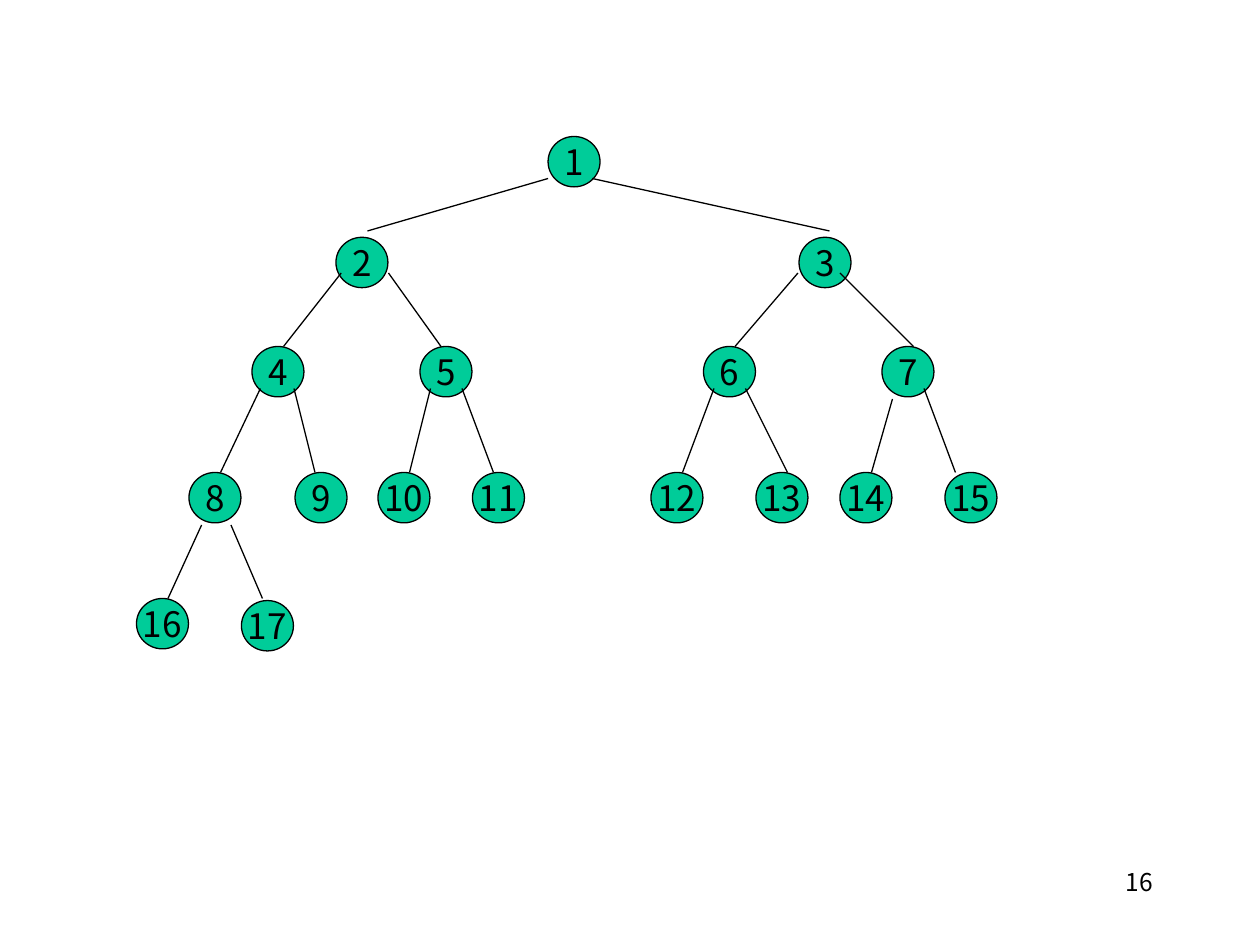
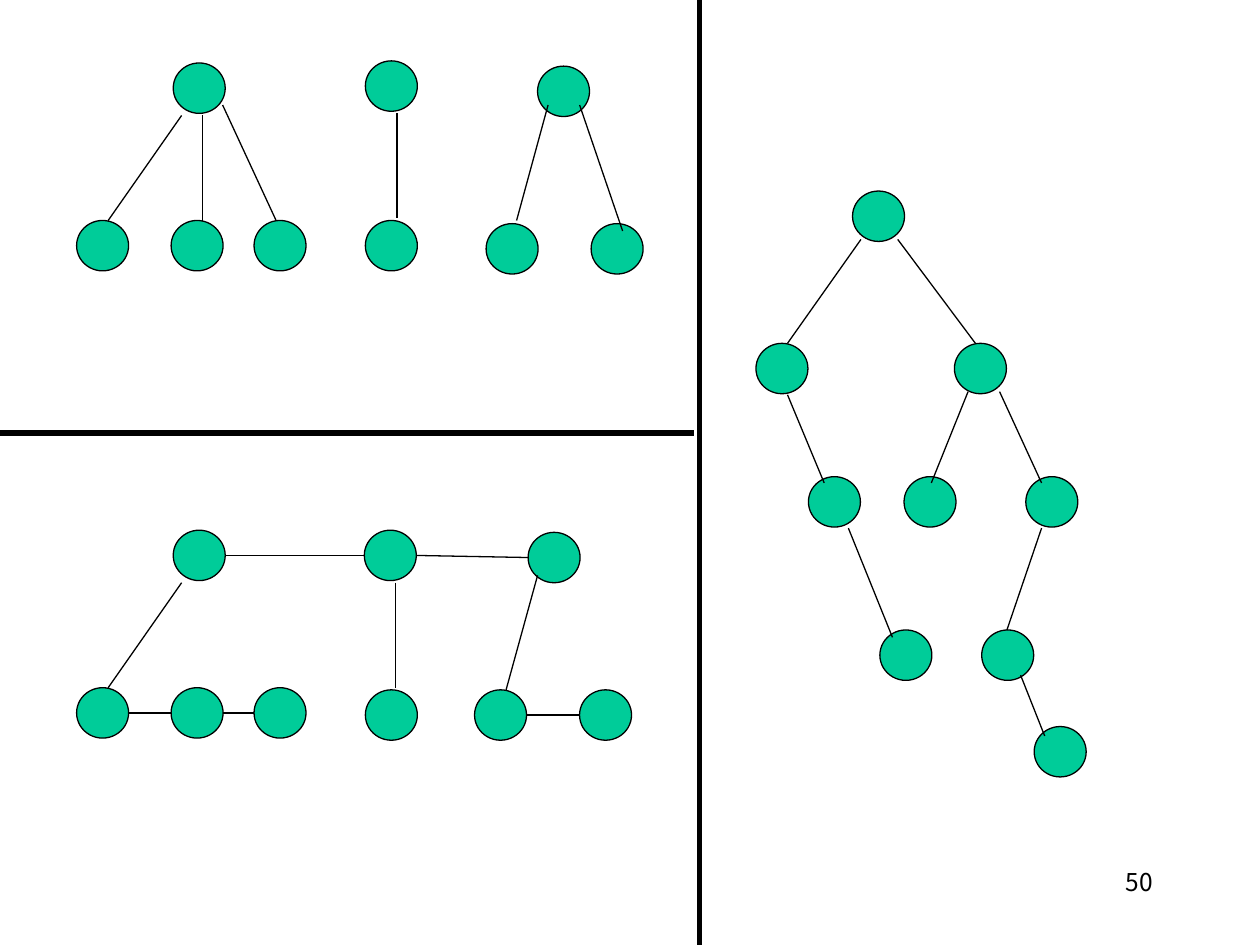
from lxml import etree
from pptx import Presentation
from pptx.dml.color import RGBColor
from pptx.enum import shapes, text
from pptx.util import Inches, Pt

COLS, ROWS = 120, 90
NODE_W, NODE_H = 4.95, 4.8
FONT = "Noto Sans CJK JP"
INK, GREEN = "000000", "00CC99"

prs = Presentation()
prs.slide_width, prs.slide_height = Inches(10), Inches(7.5)


def rgb(value):
    return RGBColor.from_string(value)


def x(col):
    return round(prs.slide_width * col / COLS)


def y(row):
    return round(prs.slide_height * row / ROWS)


def write(sp, words, size, align, **frame):
    """Put one paragraph in a shape, with text frame settings from frame."""
    tf = sp.text_frame
    for name, value in frame.items():
        setattr(tf, name, value)
    p = tf.paragraphs[0]
    p.alignment = align
    r = p.add_run()
    r.text = words
    for name, value in {"name": FONT, "size": Pt(size)}.items():
        setattr(r.font, name, value)
    r.font.color.rgb = rgb(INK)
    return p


def line(s, c1, r1, c2, r2, width=0.75):
    cx = s.shapes.add_connector(shapes.MSO_CONNECTOR.STRAIGHT, x(c1), y(r1), x(c2), y(r2))
    cx.line.color.rgb = rgb(INK)
    cx.line.width = Pt(width)
    sp_pr = cx._element.spPr
    ns = sp_pr.nsmap["a"]
    etree.SubElement(sp_pr, f"{{{ns}}}effectLst")


def node(s, col, row, label=""):
    sp = s.shapes.add_shape(shapes.MSO_SHAPE.OVAL, x(col), y(row), x(NODE_W), y(NODE_H))
    sp.shadow.inherit = False
    sp.fill.solid()
    sp.fill.fore_color.rgb = rgb(GREEN)
    sp.line.color.rgb = rgb(INK)
    sp.line.width = Pt(0.75)
    if label:
        write(sp, label, 20, text.PP_ALIGN.CENTER, word_wrap=False,
              vertical_anchor=text.MSO_ANCHOR.MIDDLE)


def tree(s, box, levels, edges, siblings=(), numbered=False):
    """Draw nodes {row: cols}, edges {(row, row): (col, col) pairs} and sibling links."""
    left, top = box
    places = [(left + col, top + row) for row, cols in levels.items() for col in cols]
    for number, (col, row) in enumerate(places, 1):
        node(s, col, row, str(number) if numbered else "")
    for (r1, r2), pairs in edges.items():
        for c1, c2 in pairs:
            line(s, left + c1, top + r1, left + c2, top + r2)
    for a, b in siblings:
        (c1, r1), (c2, r2) = places[a], places[b]
        line(s, c1 + NODE_W, r1 + NODE_H / 2, c2, r2 + NODE_H / 2)


def page(number):
    s = prs.slides.add_slide(prs.slide_layouts[6])
    tb = s.shapes.add_textbox(x(86), y(82), x(25), y(6))
    p = write(tb, str(number), 14, text.PP_ALIGN.RIGHT, word_wrap=True)
    p.space_before = Pt(8.8)
    return s


def numbered_tree_slide():
    s = page(16)
    levels = {
        0: [39.2],
        9.6: [19, 63.1],
        20: [11, 27, 54, 71],
        32: [5, 15.1, 23, 32, 49, 59, 67, 77],
        44: [0],
        44.2: [10],
    }
    edges = {
        (4, 9): [(39.2, 22), (43.4, 66)],
        (13, 20): [(19.5, 14), (24, 29), (63, 57), (67, 74)],
        (24, 32): [(11.8, 8), (15, 17), (28, 26), (31, 34), (55, 52), (58, 62), (75, 78)],
        (25, 32): [(72, 70)],
        (37, 44): [(6.2, 3), (9, 12)],
    }
    tree(s, (13, 13), levels, edges, numbered=True)


def forest(s, box):
    levels = {0: [27.5], 0.2: [9.2], 0.5: [43.9],
              15.2: [0, 9, 16.9, 27.5], 15.5: [39, 49]}
    edges = {
        (5.2, 15.2): [(10, 3), (12, 12)],
        (4.2, 15.2): [(13.9, 19), (44.9, 41.9)],
        (5, 15): [(30.5, 30.5)],
        (4.2, 16.2): [(47.9, 52)],
    }
    tree(s, box, levels, edges)


def sibling_lists(s, box):
    levels = {0: [9.2, 27.4], 0.2: [43],
              15: [0, 9, 16.9], 15.2: [27.5, 37.9, 47.9]}
    edges = {(5, 15): [(10, 3), (30.4, 30.4)], (4.3, 15.2): [(43.9, 40.9)]}
    tree(s, box, levels, edges, siblings=[(0, 1), (1, 2), (3, 4), (4, 5), (7, 8)])


def binary_tree(s, box):
    levels = {0: [9.2], 14.5: [0, 18.9], 27.2: [5, 14.1, 25.7],
              41.8: [11.8, 21.5], 51: [26.5]}
    edges = {
        (4.6, 14.5): [(10, 3), (13.5, 20.9)],
        (19.4, 27.8): [(3, 6.5)],
        (19.1, 27.8): [(20.2, 16.7), (23.2, 27.2)],
        (32.1, 42.5): [(8.8, 13)],
        (32.1, 41.8): [(27.2, 23.9)],
        (46.1, 51.9): [(25.2, 27.5)],
    }
    tree(s, box, levels, edges)


def forest_conversion_slide():
    s = page(50)
    forest(s, (7.3, 5.8))
    sibling_lists(s, (7.3, 50.5))
    line(s, 0, 41.25, 66.1, 41.25, width=3)
    line(s, 66.6, 0, 66.6, ROWS, width=3)
    binary_tree(s, (72, 18.2))


if __name__ == "__main__":
    numbered_tree_slide()
    forest_conversion_slide()
    prs.save("out.pptx")
